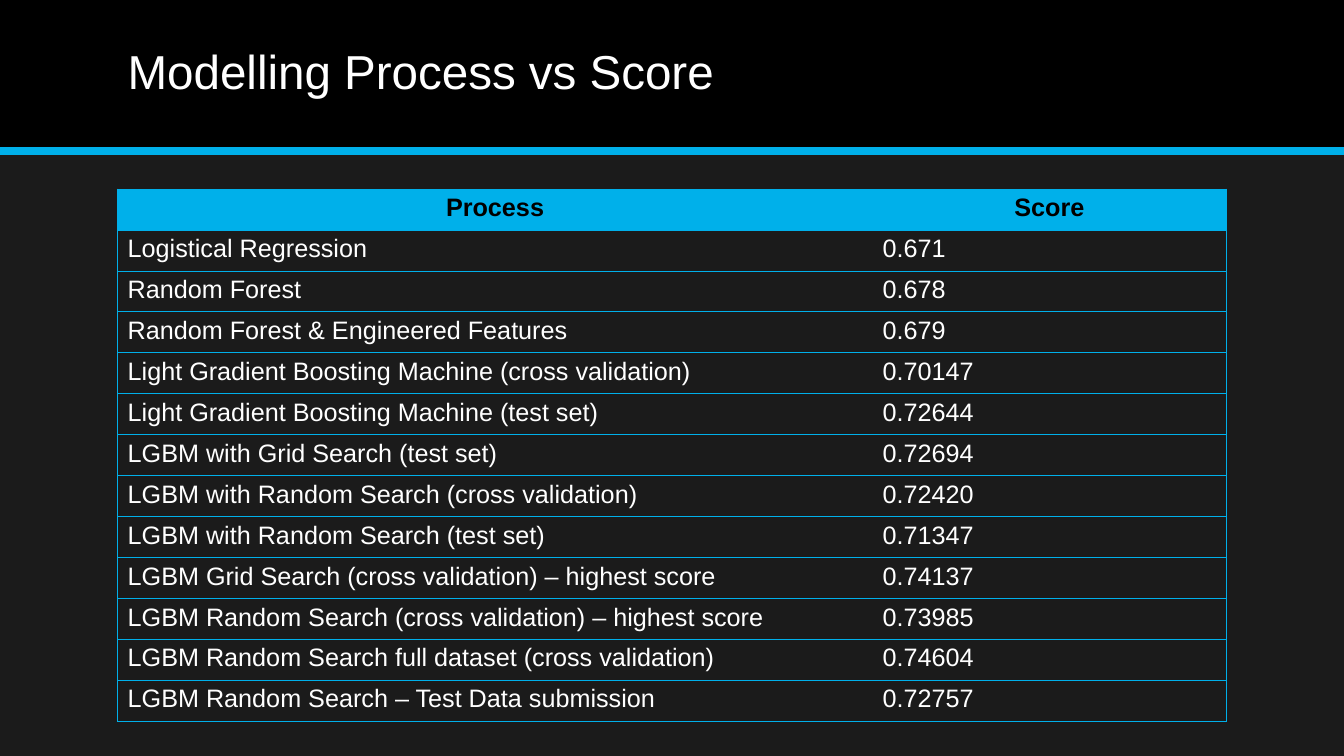
from dataclasses import dataclass
from typing import NamedTuple

from lxml import etree
from pptx import Presentation
from pptx.dml.color import RGBColor
from pptx.enum.shapes import MSO_CONNECTOR, MSO_SHAPE
from pptx.enum.text import MSO_ANCHOR, PP_ALIGN
from pptx.oxml.ns import qn
from pptx.util import Emu, Pt

LEFT, CENTER = PP_ALIGN.LEFT, PP_ALIGN.CENTER
MIDDLE = MSO_ANCHOR.MIDDLE
RECTANGLE = MSO_SHAPE.RECTANGLE
STRAIGHT = MSO_CONNECTOR.STRAIGHT
TITLE_ONLY = 5
EMU_PER_PX = 9525


@dataclass(frozen=True)
class Theme:
    font: str = "Arial"
    background: str = "1B1B1B"
    accent: str = "00B0EA"
    dark: str = "000000"
    light: str = "FFFFFF"
    title_size: float = 34
    table_size: float = 18
    rule_width: float = 6
    border_width: float = 0.5


class Box(NamedTuple):
    left: int
    top: int
    width: int
    height: int


class Result(NamedTuple):
    process: str
    score: str


THEME = Theme()
PAGE = Box(0, 0, 1280, 720)
BAND = Box(0, 0, PAGE.width, 144)
TITLE = Box(112, 13, 1056, 115)
ROW_HEIGHT = 39
TABLE_TOP = 180
COLUMN_WIDTHS = (719, 337)
HEADER = Result("Process", "Score")
RESULTS = [
    Result("Logistical Regression", "0.671"),
    Result("Random Forest", "0.678"),
    Result("Random Forest & Engineered Features", "0.679"),
    Result("Light Gradient Boosting Machine (cross validation)", "0.70147"),
    Result("Light Gradient Boosting Machine (test set)", "0.72644"),
    Result("LGBM with Grid Search (test set)", "0.72694"),
    Result("LGBM with Random Search (cross validation)", "0.72420"),
    Result("LGBM with Random Search (test set)", "0.71347"),
    Result("LGBM Grid Search (cross validation) – highest score", "0.74137"),
    Result("LGBM Random Search (cross validation) – highest score", "0.73985"),
    Result("LGBM Random Search full dataset (cross validation)", "0.74604"),
    Result("LGBM Random Search – Test Data submission", "0.72757"),
]


def px(length: int) -> Emu:
    return Emu(length * EMU_PER_PX)


def rgb(color: str) -> RGBColor:
    return RGBColor.from_string(color)


def apply_format(target, values: dict) -> None:
    for name, value in values.items():
        setattr(target, name, value)


def write(frame, text: str, size: float, color: str, align, bold: bool = False):
    """Fill a text frame with one formatted paragraph and return it."""
    para = frame.paragraphs[0]
    para.alignment = align
    span = para.add_run()
    span.text = text
    apply_format(span.font, {"name": THEME.font, "size": Pt(size), "bold": bold})
    span.font.color.rgb = rgb(color)
    return para


def add_band(page) -> None:
    band = page.shapes.add_shape(RECTANGLE, *map(px, BAND))
    band.shadow.inherit = False
    band.fill.solid()
    band.fill.fore_color.rgb = rgb(THEME.dark)
    band.line.fill.background()
    rule = page.shapes.add_connector(
        STRAIGHT, px(0), px(BAND.height), px(PAGE.width), px(BAND.height))
    rule.line.color.rgb = rgb(THEME.accent)
    rule.line.width = Pt(THEME.rule_width)
    etree.SubElement(rule.element.spPr, qn("a:effectLst"))


def place_title(page, text: str) -> None:
    title = page.shapes.title
    title.element.getparent().append(title.element)
    apply_format(title, {name: px(value) for name, value in TITLE._asdict().items()})
    apply_format(title.text_frame, {"vertical_anchor": MIDDLE, "word_wrap": True})
    para = write(title.text_frame, text, THEME.title_size, THEME.light, LEFT)
    para.line_spacing = 0.9


def set_borders(cell, sides: str) -> None:
    properties = cell._tc.get_or_add_tcPr()
    for side in sides:
        line = etree.SubElement(
            properties, qn(f"a:ln{side}"), w=str(Pt(THEME.border_width)))
        if_solid = etree.SubElement(line, qn("a:solidFill"))
        etree.SubElement(if_solid, qn("a:srgbClr"), val=THEME.accent)


def hide_borders(cell, sides: str) -> None:
    properties = cell._tc.get_or_add_tcPr()
    for side in sides:
        line = etree.SubElement(properties, qn(f"a:ln{side}"), w="0")
        etree.SubElement(line, qn("a:noFill"))


def add_score_table(page) -> None:
    rows = [HEADER, *RESULTS]
    frame = page.shapes.add_table(
        len(rows), len(COLUMN_WIDTHS), px(TITLE.left), px(TABLE_TOP),
        px(sum(COLUMN_WIDTHS)), px(ROW_HEIGHT * len(rows)))
    table = frame.table
    table.horz_banding = False
    for column, width in zip(table.columns, COLUMN_WIDTHS):
        column.width = px(width)
    for row_index, result in enumerate(rows):
        table.rows[row_index].height = px(ROW_HEIGHT)
        is_header = row_index == 0
        for column_index, text in enumerate(result):
            cell = table.cell(row_index, column_index)
            outer, inner = ("L", "R") if column_index == 0 else ("R", "L")
            if outer == "L":
                set_borders(cell, outer)
                hide_borders(cell, inner)
            else:
                hide_borders(cell, inner)
                set_borders(cell, outer)
            set_borders(cell, "TB")
            if is_header:
                cell.fill.solid()
                cell.fill.fore_color.rgb = rgb(THEME.accent)
            else:
                cell.fill.background()
            write(cell.text_frame, text, THEME.table_size,
                  THEME.dark if is_header else THEME.light,
                  CENTER if is_header else LEFT, is_header)


def main() -> None:
    deck = Presentation()
    deck.slide_width, deck.slide_height = px(PAGE.width), px(PAGE.height)
    page = deck.slides.add_slide(deck.slide_layouts[TITLE_ONLY])
    page.background.fill.solid()
    page.background.fill.fore_color.rgb = rgb(THEME.background)
    add_band(page)
    place_title(page, "Modelling Process vs Score")
    add_score_table(page)
    deck.save("out.pptx")


if __name__ == "__main__":
    main()
